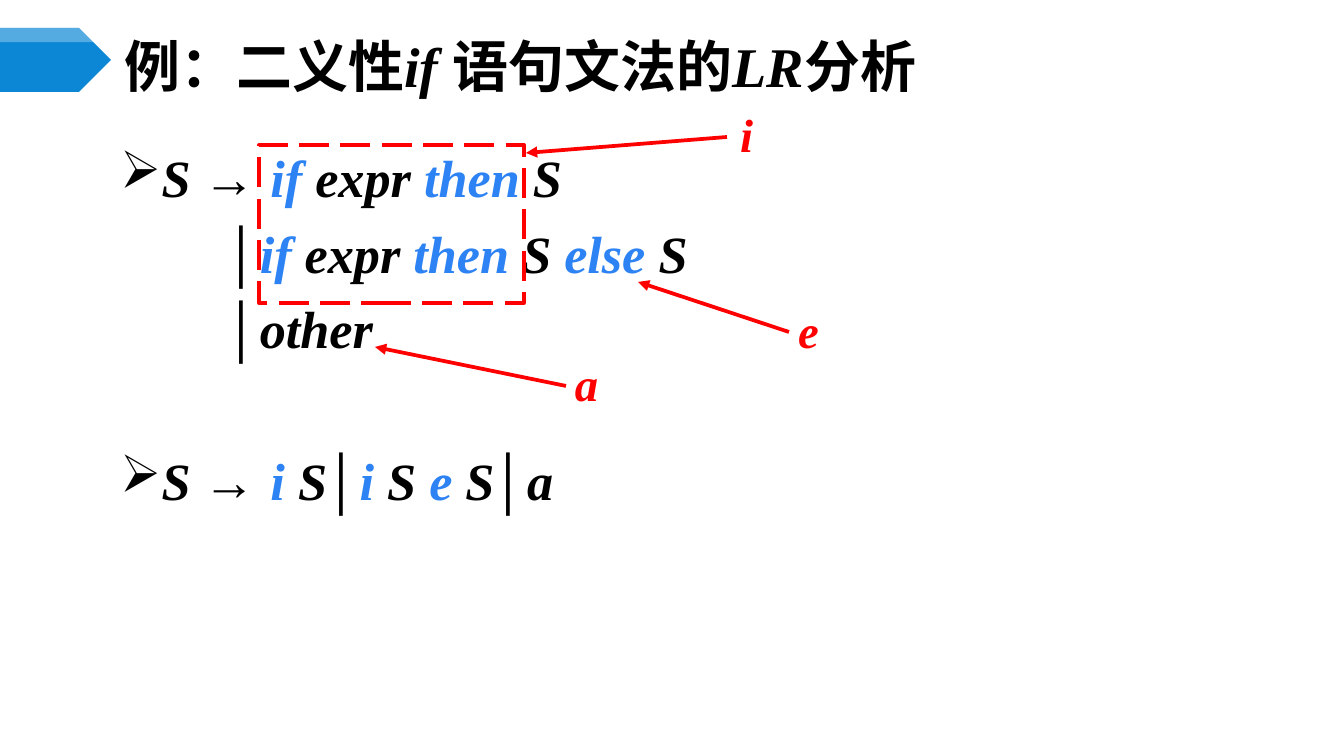
from lxml import etree
from pptx import Presentation
from pptx.dml.color import RGBColor
from pptx.enum.dml import MSO_LINE
from pptx.enum.shapes import MSO_CONNECTOR, MSO_SHAPE
from pptx.enum.text import MSO_ANCHOR, PP_ALIGN
from pptx.oxml.ns import qn
from pptx.util import Pt

PX = 914400 / 134.4
RECT = MSO_SHAPE.RECTANGLE
LINE = MSO_CONNECTOR.STRAIGHT
DASH = MSO_LINE.LONG_DASH
MIDDLE = MSO_ANCHOR.MIDDLE
CENTER = PP_ALIGN.CENTER
TIMES, ARIAL, NOTO = "Times New Roman", "Arial", "Noto Sans CJK SC"
BLACK, BLUE, RED = "000000", "2D83F4", "FF0000"


def px(*vals):
    return [round(v * PX) for v in vals]


def color(code):
    return RGBColor.from_string(code)


def add(node, tag, **attrs):
    return etree.SubElement(node, qn(tag), attrs)


def text_box(slide, box, inset=0):
    frame = slide.shapes.add_textbox(*px(*box)).text_frame
    frame.word_wrap = True
    frame.margin_top = frame.margin_bottom = px(inset)[0]
    return frame


def style(para, size):
    para.font.size = Pt(size)
    para.font.bold = True
    para.font.name = TIMES
    para.font.color.rgb = color(BLACK)


def add_run(para, text, face, italic, east):
    run = para.add_run()
    run.text = text
    run.font.name = face
    run.font.italic = italic
    add(run.font._element, "a:ea", typeface=east)
    return run


def flag(slide, box):
    x, y, w, h = box
    bands = ((h, 32, "0B87D6", None), (14, 7, "FFFFFF", "30000"))
    for tall, nose, fill, alpha in bands:
        pen = slide.shapes.build_freeform(x, y, PX)
        pen.add_line_segments([(x + w - nose, y), (x + w, y + tall // 2),
                               (x + w - nose, y + tall), (x, y + tall)])
        band = pen.convert_to_shape()
        band.shadow.inherit = False
        band.fill.solid()
        band.fill.fore_color.rgb = color(fill)
        band.line.fill.background()
        if alpha:
            tone = band._element.spPr.find(".//" + qn("a:srgbClr"))
            add(tone, "a:alpha", val=alpha)


def title(slide, box):
    frame = text_box(slide, box)
    frame.vertical_anchor = MIDDLE
    para = frame.paragraphs[0]
    style(para, 30)
    for text, face in (("例：", TIMES), ("二义性", NOTO), ("if ", TIMES),
                       ("语句文法的", NOTO), ("LR", TIMES), ("分析", NOTO)):
        add_run(para, text, face, text.isascii(), NOTO)


def grammar(slide, box, rules):
    frame = text_box(slide, box)
    for num, (mark, gap, parts) in enumerate(rules):
        para = frame.add_paragraph() if num else frame.paragraphs[0]
        style(para, 28)
        para.space_before = Pt(gap)
        props = para._p.get_or_add_pPr()
        left, hang = px(40, -40) if mark else px(107, 0)
        props.set("marL", str(left))
        props.set("indent", str(hang))
        if mark:
            tint = etree.Element(qn("a:buClr"))
            add(tint, "a:srgbClr", val=BLACK)
            bullet = etree.Element(qn("a:buChar"), char=mark)
            spot = props.index(props.find(qn("a:defRPr")))
            props[spot:spot] = [tint, bullet]
        for text in parts:
            sign = text.strip() in "→│"
            face = ARIAL if sign else TIMES
            run = add_run(para, text, face, not sign, face)
            if text.strip() in ("if", "then", "else", "i", "e"):
                run.font.color.rgb = color(BLUE)


def frame_box(slide, box):
    shape = slide.shapes.add_shape(RECT, *px(*box))
    shape.shadow.inherit = False
    shape.fill.background()
    shape.line.color.rgb = color(RED)
    shape.line.width = Pt(2)
    shape.line.dash_style = DASH


def callout(slide, box, letter, start, end):
    x, y = box[:2]
    ends = (x + start[0], y + start[1], x + end[0], y + end[1])
    arrow = slide.shapes.add_connector(LINE, *px(*ends))
    arrow.line.color.rgb = color(RED)
    arrow.line.width = Pt(2)
    add(arrow.line._get_or_add_ln(), "a:tailEnd", type="triangle")
    add(arrow._element.spPr, "a:effectLst")
    frame = text_box(slide, box, 7)
    frame.word_wrap = False
    frame.vertical_anchor = MIDDLE
    para = frame.paragraphs[0]
    style(para, 25)
    para.alignment = CENTER
    run = add_run(para, letter, TIMES, True, TIMES)
    run.font.color.rgb = color(RED)


def main():
    deck = Presentation()
    deck.slide_width, deck.slide_height = px(1344, 756)
    slide = deck.slides.add_slide(deck.slide_layouts[6])
    flag(slide, (0, 28, 111, 64))
    rules = (
        ("➢", 7, ("S ", "→ ", "if ", "expr ", "then ", "S")),
        ("", 7, ("│", "if ", "expr ", "then ", "S ", "else ", "S")),
        ("", 7, ("│", "other")),
        ("➢", 47.7, ("S ", "→ ", "i ", "S", "│", "i ", "S ", "e", " S", "│", "a")),
    )
    grammar(slide, (107, 145, 871, 474), rules)
    title(slide, (111, 39, 1165, 52))
    frame_box(slide, (259, 145, 265, 158))
    callout(slide, (715, 113, 63, 42), "i", (12, 24), (-189, 40))
    callout(slide, (777, 309, 63, 42), "e", (12, 23), (-139, -27))
    callout(slide, (555, 362, 63, 42), "a", (11, 24), (-180, -15))
    deck.save("out.pptx")


if __name__ == "__main__":
    main()
